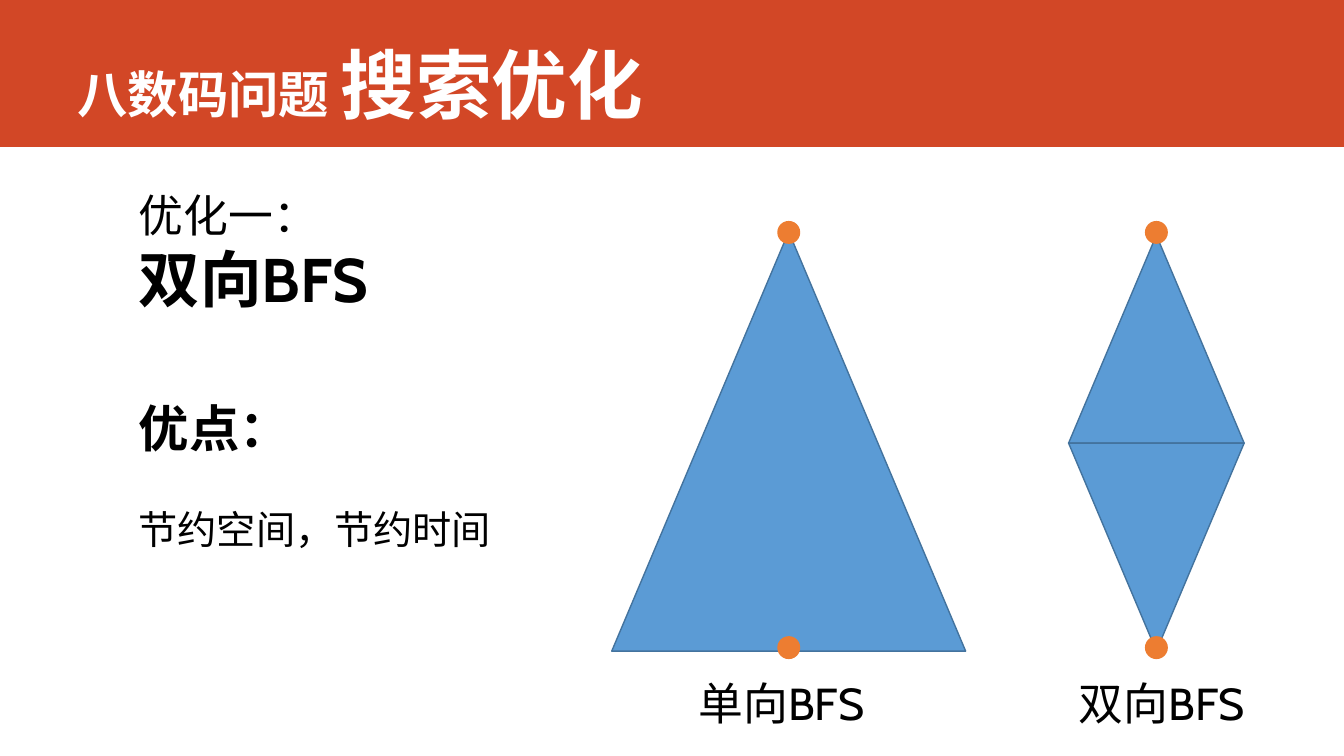
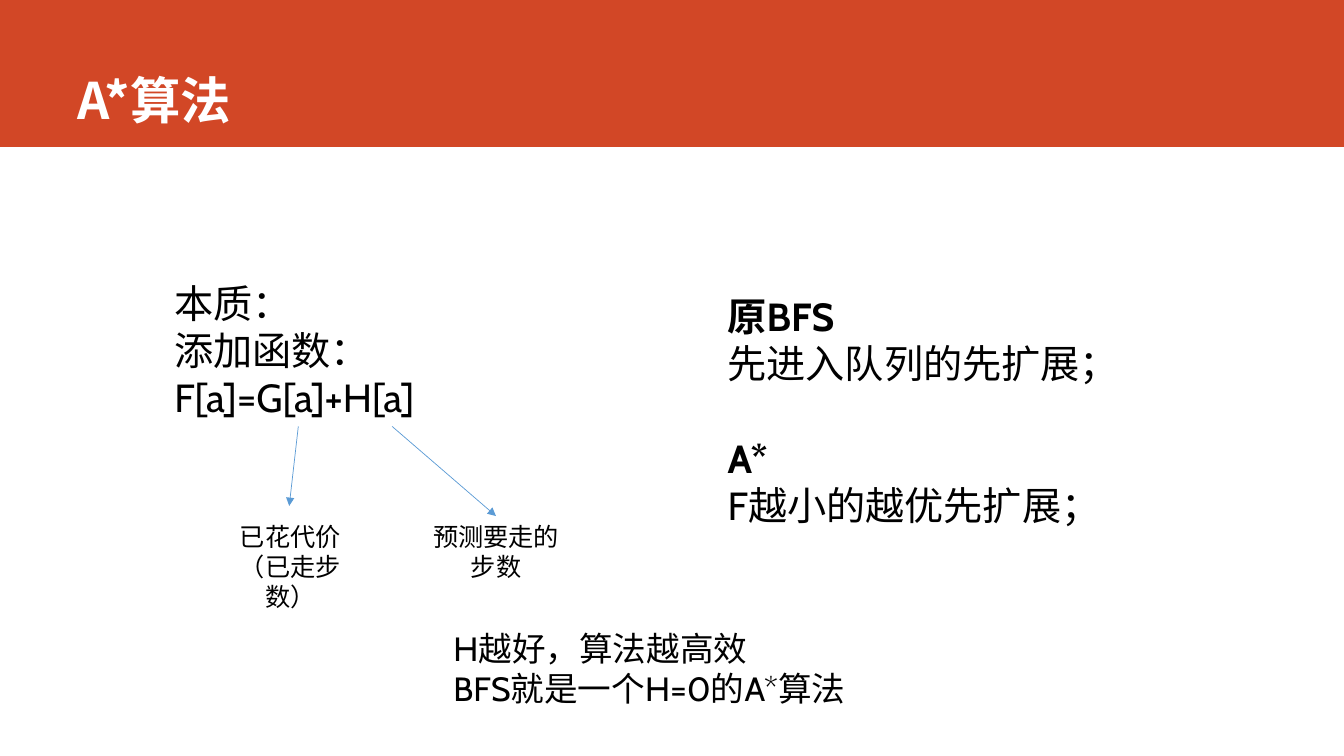
from lxml import etree
from pptx import Presentation
from pptx.dml.color import RGBColor
from pptx.enum.shapes import MSO_CONNECTOR, MSO_SHAPE
from pptx.enum.text import MSO_ANCHOR, MSO_AUTO_SIZE, PP_ALIGN
from pptx.oxml.ns import qn
from pptx.util import Pt

# Shared style
COLORS = {"band": "D24726", "title": "FFFFFF", "text": "000000",
          "tree": "5B9BD5", "edge": "43739E", "node": "ED7D31"}
TITLE_FONT, BODY_FONT = "Noto Sans CJK SC", "Cabin"
WIDTH, HEIGHT, BAND_HEIGHT = 960, 540, 105
TITLE_BOX = (48, 0, 846, 96.5)
BLANK_LINE = 34

# Content: a box is (place, paragraphs, alignment);
# a paragraph is (text, size, bold, space before)
SEARCH_TITLE = [("八数码问题 ", 36), ("搜索优化", 54)]
SEARCH_BOXES = [
    ((92, 130.3, 232.5, 99), [("优化一：", 32, False, 0), ("双向BFS", 44, True, 0)], PP_ALIGN.LEFT),
    ((92, 280, 386, 119), [("优点：", 36, True, 0),
                           ("节约空间，节约时间", 28, False, BLANK_LINE)], PP_ALIGN.LEFT),
    ((491.8, 479, 143, 46), [("单向BFS", 32, False, 0)], PP_ALIGN.LEFT),
    ((763.3, 479, 143, 46), [("双向BFS", 32, False, 0)], PP_ALIGN.LEFT),
]
# Search trees: (centre x, top, width, height, rotation)
TREES = [(563.4, 165.6, 252.8, 299.5, 0),
         (826, 168, 125.4, 148.5, 0),
         (826, 316.5, 125.4, 148.5, 180)]
NODE_CENTERS = [(x, y) for x in (563.4, 826) for y in (166, 462.6)]
NODE_SIZE = 16.4

ASTAR_TITLE = [("A*算法", 36)]
ASTAR_BOXES = {
    "formula": ((117.4, 195.8, 294, 108.8), [("本质：", 28, False, 0), ("添加函数：", 28, False, 0),
                                             ("F[a]=G[a]+H[a]", 28, False, 0)], PP_ALIGN.LEFT),
    "cost": ((150.5, 368.6, 113.8, 51), [("已花代价", 18, False, 0),
                                         ("（已走步数）", 18, False, 0)], PP_ALIGN.CENTER),
    "estimate": ((297.4, 368.6, 113.8, 51), [("预测要走的步数", 18, False, 0)], PP_ALIGN.CENTER),
    "compare": ((512.6, 205.2, 406.8, 177), [("原BFS", 28, True, 0),
                                             ("先进入队列的先扩展；", 28, False, 0),
                                             ("A*", 28, True, BLANK_LINE),
                                             ("F越小的越优先扩展；", 28, False, 0)], PP_ALIGN.LEFT),
    "summary": ((316.8, 445, 365, 65.5), [("H越好，算法越高效", 24, False, 0),
                                          ("BFS就是一个H=0的A*算法", 24, False, 0)], PP_ALIGN.LEFT),
}
# Arrows: (start, end, box joined at its top or None)
ARROWS = [((213.1, 304.6), (206.6, 361.4), None),
          ((280.1, 304.6), (354.3, 368.6), "estimate")]


def color(name):
    return RGBColor.from_string(COLORS[name])


def points(values):
    return [Pt(value) for value in values]


def add_run(para, text, size, bold, font_name, color_name):
    span = para.add_run()
    span.text = text
    font = span.font
    font.size, font.bold, font.name = Pt(size), bold, font_name
    font.color.rgb = color(color_name)
    east_asian = etree.SubElement(span.font._element, qn("a:ea"))
    east_asian.set("typeface", font_name)


def add_figure(page, kind, place, fill, edge=None):
    shape = page.shapes.add_shape(kind, *points(place))
    shape.shadow.inherit = False
    shape.fill.solid()
    shape.fill.fore_color.rgb = color(fill)
    if edge:
        shape.line.color.rgb = color(edge)
        shape.line.width = Pt(1)
    else:
        shape.line.fill.background()
    return shape


def add_text(page, place, paragraphs, alignment):
    box = page.shapes.add_textbox(*points(place))
    frame = box.text_frame
    frame.word_wrap = True
    frame.auto_size = MSO_AUTO_SIZE.SHAPE_TO_FIT_TEXT
    for index, (text, size, bold, before) in enumerate(paragraphs):
        para = frame.add_paragraph() if index else frame.paragraphs[0]
        para.alignment = alignment
        if before:
            para.space_before = Pt(before)
        add_run(para, text, size, bold, BODY_FONT, "text")
    return box


def add_arrow(page, start, end, target):
    arrow = page.shapes.add_connector(MSO_CONNECTOR.STRAIGHT, *points(start + end))
    if target is not None:
        arrow.end_connect(target, 0)
    arrow.line.color.rgb = color("tree")
    arrow.line.width = Pt(0.5)
    etree.SubElement(arrow.line._get_or_add_ln(), qn("a:tailEnd")).set("type", "triangle")
    etree.SubElement(arrow.element.spPr, qn("a:effectLst"))


def add_page(deck, title_runs):
    page = deck.slides.add_slide(deck.slide_layouts[5])
    title = page.shapes.title
    title.left, title.top, title.width, title.height = points(TITLE_BOX)
    frame = title.text_frame
    frame.word_wrap = True
    frame.auto_size = MSO_AUTO_SIZE.NONE
    frame.vertical_anchor = MSO_ANCHOR.BOTTOM
    para = frame.paragraphs[0]
    para.alignment = PP_ALIGN.LEFT
    para.line_spacing = 0.9
    for text, size in title_runs:
        add_run(para, text, size, True, TITLE_FONT, "title")
    return page


def add_band(page):
    """Place the title band on the layout, behind everything."""
    band = add_figure(page, MSO_SHAPE.RECTANGLE, (0, 0, WIDTH, BAND_HEIGHT), "band")
    page.slide_layout.shapes.element.insert(2, band.element)


def build_search(deck):
    page = add_page(deck, SEARCH_TITLE)
    add_band(page)
    for center, top, width, height, rotation in TREES:
        tree = add_figure(page, MSO_SHAPE.ISOSCELES_TRIANGLE,
                          (center - width / 2, top, width, height), "tree", "edge")
        tree.rotation = rotation
    for x, y in NODE_CENTERS:
        add_figure(page, MSO_SHAPE.OVAL,
                   (x - NODE_SIZE / 2, y - NODE_SIZE / 2, NODE_SIZE, NODE_SIZE), "node")
    for box in SEARCH_BOXES:
        add_text(page, *box)


def build_astar(deck):
    page = add_page(deck, ASTAR_TITLE)
    boxes = {name: add_text(page, *box) for name, box in ASTAR_BOXES.items()}
    for start, end, target in ARROWS:
        add_arrow(page, start, end, boxes.get(target))


def main():
    deck = Presentation()
    deck.slide_width, deck.slide_height = Pt(WIDTH), Pt(HEIGHT)
    build_search(deck)
    build_astar(deck)
    deck.save("out.pptx")


if __name__ == "__main__":
    main()
